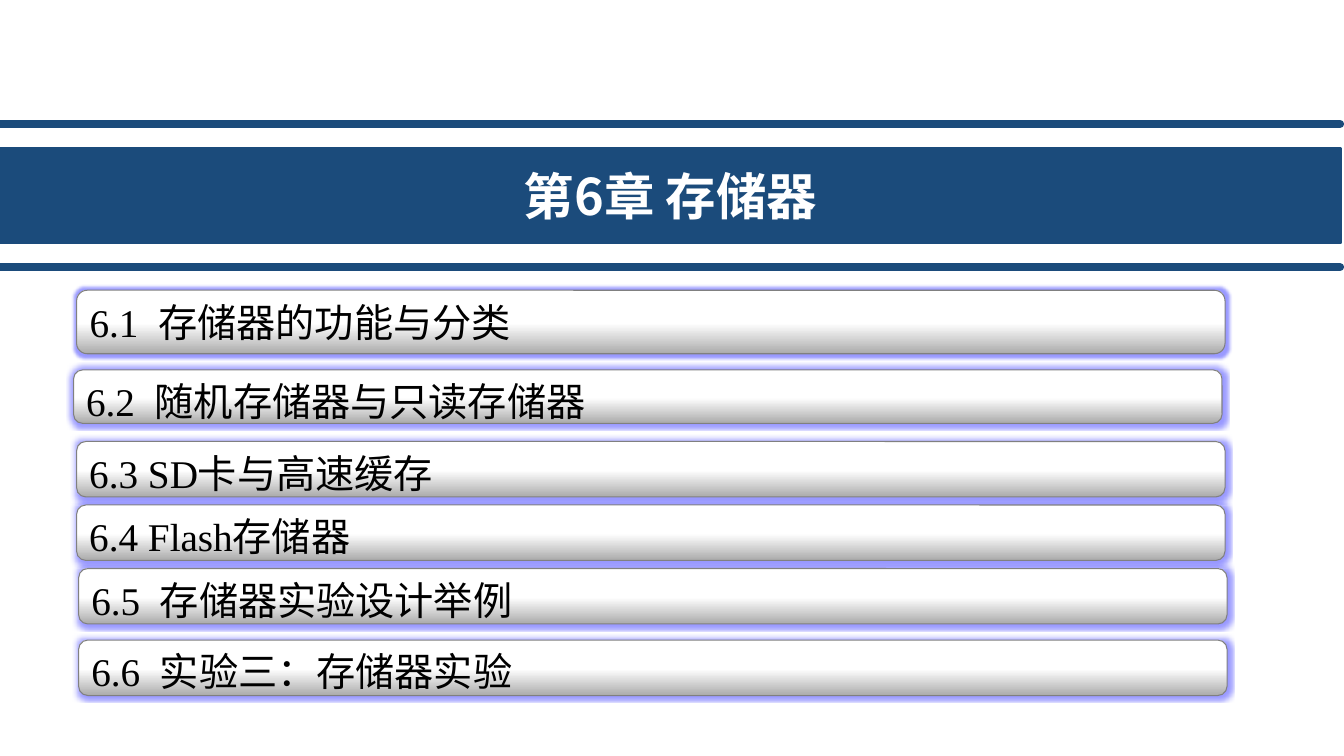
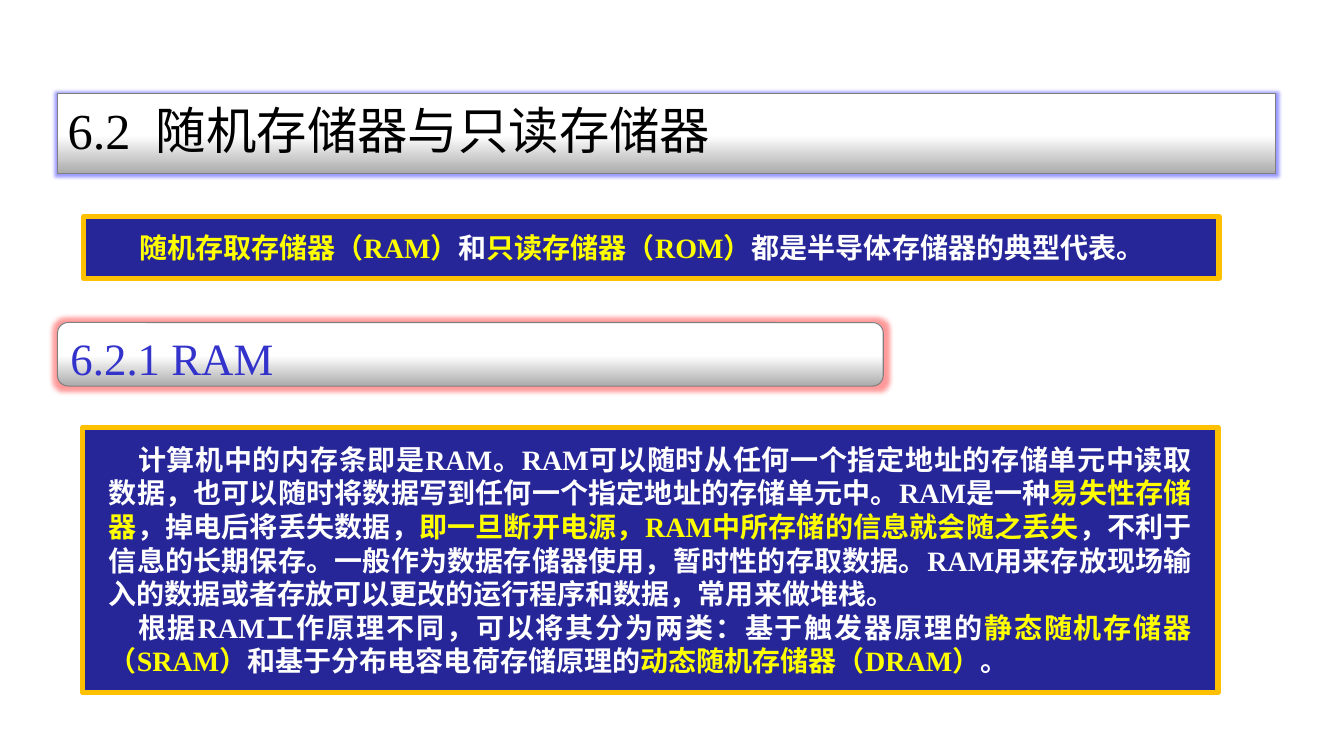
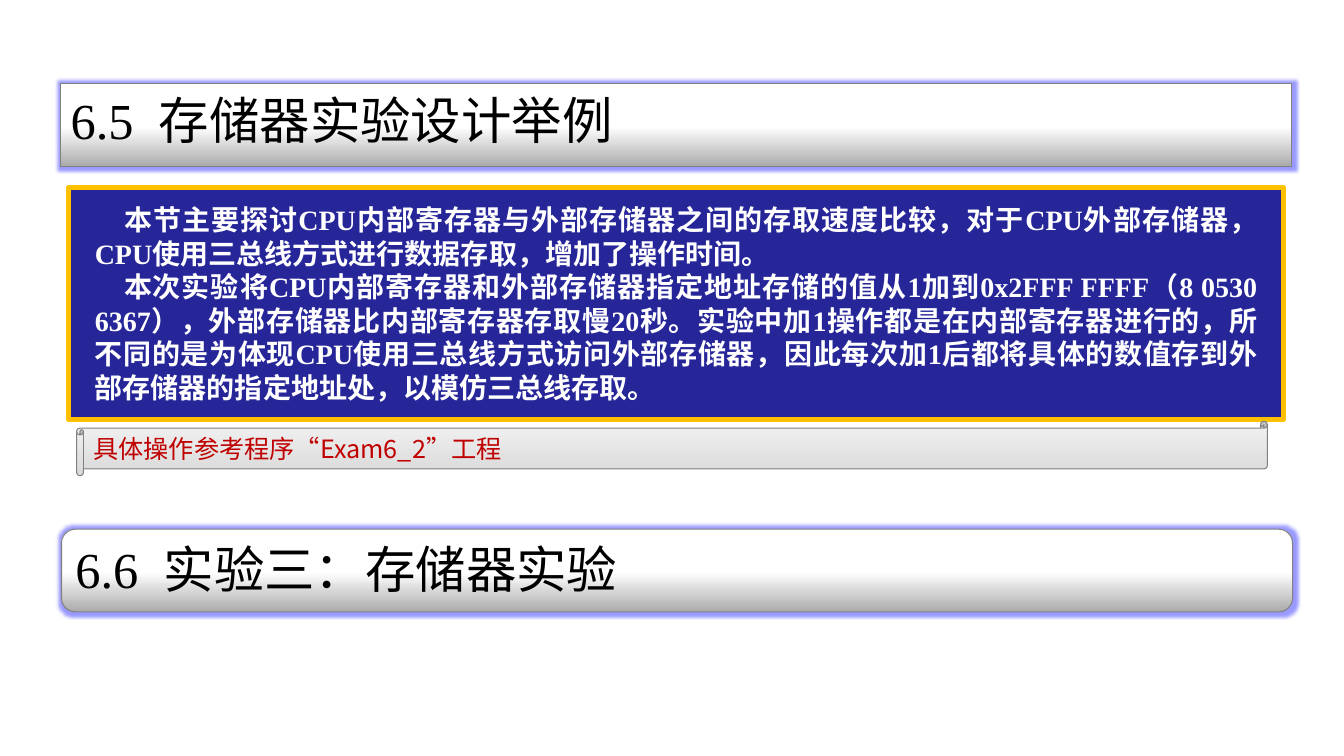
import pptx
import pptx.util
import pptx.dml.color
import pptx.enum.shapes
import pptx.enum.text
import pptx.oxml
import pptx.oxml.ns

Inches = pptx.util.Inches
Pt = pptx.util.Pt
KIND = pptx.enum.shapes.MSO_SHAPE
ALIGN = pptx.enum.text.PP_ALIGN
ANCHOR = pptx.enum.text.MSO_ANCHOR
FIT = pptx.enum.text.MSO_AUTO_SIZE
qn = pptx.oxml.ns.qn

SERIF, SANS = "Times New Roman", "Noto Sans CJK SC"
BLUE, NAVY, GOLD, GRAY = "1B4B7B", "262699", "FFC000", "808080"
WHITE, BLACK, YELLOW = "FFFFFF", "000000", "FFFF00"
METAL = [(0, "ABABAB"), (48, WHITE), (100, WHITE)]
PAPER = [(0, "F2F2F2"), (100, "D9D9D9")]


def rgb(code):
    """Turn a hex string into a colour."""
    return pptx.dml.color.RGBColor.from_string(code)


def node(xml):
    """Build a drawing element from its inner markup."""
    return pptx.oxml.parse_xml(xml.replace(" ", f" {pptx.oxml.ns.nsdecls('a')} ", 1))


def write(shape, text, size=20, color=WHITE, mark=YELLOW, font=SERIF, bold=False,
          align=ALIGN.LEFT, anchor=ANCHOR.TOP, wrap=True, fit=FIT.NONE,
          inset=(0.1, 0.05), indent=0):
    """Fill a shape with lines of text; parts between stars take the mark colour."""
    frame = shape.text_frame
    frame.word_wrap, frame.auto_size, frame.vertical_anchor = wrap, fit, anchor
    frame.margin_left = frame.margin_right = Inches(inset[0])
    frame.margin_top = frame.margin_bottom = Inches(inset[1])
    for row, line in enumerate(text.split("\n")):
        para = frame.add_paragraph() if row else frame.paragraphs[0]
        para.alignment = align
        props = para._p.get_or_add_pPr()
        if indent:
            props.set("indent", str(Inches(indent)))
        if "\t" in line:
            stop = Pt(1.75 * size)
            props.append(node(f'<a:tabLst ><a:tab pos="{stop}" algn="l"/></a:tabLst>'))
        for turn, part in enumerate(line.split("*")):
            if not part:
                continue
            run = para.add_run()
            run.text = part
            run.font.size, run.font.bold, run.font.name = Pt(size), bold, font
            run.font.color.rgb = rgb(mark if turn % 2 else color)
            latin = run._r.rPr.find(qn("a:latin"))
            latin.addnext(node(f'<a:ea typeface="{SANS}"/>'))


def place(slide, kind, box, title=False):
    """Return a shape, or the slide title in that outline, set in the box."""
    if not title:
        shape = slide.shapes.add_shape(kind, *map(Inches, box))
    else:
        shape = slide.shapes.title
        shape.left, shape.top, shape.width, shape.height = map(Inches, box)
        name = "roundRect" if kind == KIND.ROUNDED_RECTANGLE else "rect"
        frame = shape._element.spPr.find(qn("a:xfrm"))
        frame.addnext(node(f'<a:prstGeom prst="{name}"><a:avLst/></a:prstGeom>'))
    shape.shadow.inherit = False
    return shape


def edge(shape, color, width):
    """Set the outline."""
    shape.line.color.rgb = rgb(color)
    shape.line.width = Pt(width)


def solid(shape, color):
    """Fill with one colour."""
    shape.fill.solid()
    shape.fill.fore_color.rgb = rgb(color)


def blend(shape, stops, angle):
    """Fill with a linear gradient."""
    shape.fill.gradient()
    shape.fill.gradient_angle = angle
    ramp = shape._element.spPr.find(f"{qn('a:gradFill')}/{qn('a:gsLst')}")
    for stop in list(ramp):
        ramp.remove(stop)
    for spot, color in stops:
        ramp.append(node(f'<a:gs pos="{spot * 1000}"><a:srgbClr val="{color}"/></a:gs>'))


def bar(slide, text, box, size=36, color=BLACK, glow="0000FF", blur=5, title=False):
    """Draw a glowing metal bar with a heading."""
    shape = place(slide, KIND.ROUNDED_RECTANGLE, box, title)
    blend(shape, METAL, 90)
    edge(shape, GRAY, 0.75)
    shape._element.spPr.find(qn("a:effectLst")).append(node(
        f'<a:glow rad="{Pt(blur)}"><a:srgbClr val="{glow}">'
        '<a:alpha val="40000"/></a:srgbClr></a:glow>'))
    write(shape, text, size=size, color=color, wrap=False)


def panel(slide, text, box):
    """Draw a navy panel of body text."""
    shape = place(slide, KIND.RECTANGLE, box)
    solid(shape, NAVY)
    edge(shape, GOLD, 3.75)
    write(shape, text, bold=True, align=ALIGN.JUSTIFY, anchor=ANCHOR.MIDDLE,
          fit=FIT.SHAPE_TO_FIT_TEXT, inset=(0.26, 0.14), indent=0.29)


def scroll(slide, text, box):
    """Draw a paper scroll with a note."""
    shape = place(slide, KIND.HORIZONTAL_SCROLL, box)
    blend(shape, PAPER, 270)
    edge(shape, GRAY, 0.75)
    write(shape, text, size=18, color="C00000", font=SANS, fit=FIT.SHAPE_TO_FIT_TEXT)


def rule(slide, top):
    """Draw a thick rule across the slide."""
    line = slide.shapes.add_connector(
        pptx.enum.shapes.MSO_CONNECTOR.STRAIGHT,
        Inches(0), Inches(top), Inches(13.29), Inches(top))
    edge(line, BLUE, 6)
    props = line._element.spPr
    props.find(qn("a:ln")).set("cap", "rnd")
    props.append(node("<a:effectLst />"))


def cover(slide):
    """Build the chapter contents."""
    band = place(slide, KIND.RECTANGLE, (0, 1.47, 13.3, 0.94), title=True)
    solid(band, BLUE)
    edge(band, BLUE, 2)
    write(band, "第6章 存储器", size=36, font=SANS, bold=True,
          align=ALIGN.CENTER, anchor=ANCHOR.MIDDLE)
    for top in (2.65, 1.23):
        rule(slide, top)
    items = [
        ("6.1\t存储器的功能与分类", 0.76, 2.88, 0.63),
        ("6.2\t随机存储器与只读存储器", 0.73, 3.67, 0.53),
        ("6.3 SD卡与高速缓存", 0.76, 4.38, 0.55),
        ("6.4 Flash存储器", 0.76, 5.01, 0.55),
        ("6.5\t存储器实验设计举例", 0.78, 5.64, 0.55),
        ("6.6\t实验三：存储器实验", 0.78, 6.35, 0.55),
    ]
    for text, left, top, high in items:
        bar(slide, text, (left, top, 11.39, high), size=28)


def memory(slide):
    """Build the section on RAM and ROM."""
    bar(slide, "6.2\t随机存储器与只读存储器", (0.57, 0.93, 12.08, 0.79), title=True)
    panel(slide, "*随机存取存储器（RAM）*和*只读存储器（ROM）*都是半导体存储器的典型代表。",
          (0.83, 2.15, 11.26, 0.61))
    bar(slide, "6.2.1 RAM", (0.57, 3.2, 8.19, 0.63), size=32, color="3333CC",
        glow="FF0000", blur=7)
    panel(slide,
          "计算机中的内存条即是RAM。RAM可以随时从任何一个指定地址的存储单元中读取数据，"
          "也可以随时将数据写到任何一个指定地址的存储单元中。RAM是一种*易失性存储器*，"
          "掉电后将丢失数据，*即一旦断开电源，RAM中所存储的信息就会随之丢失*，"
          "不利于信息的长期保存。一般作为数据存储器使用，暂时性的存取数据。"
          "RAM用来存放现场输入的数据或者存放可以更改的运行程序和数据，常用来做堆栈。\n"
          "根据RAM工作原理不同，可以将其分为两类：基于触发器原理的*静态随机存储器（SRAM）*"
          "和基于分布电容电荷存储原理的*动态随机存储器（DRAM）*。",
          (0.82, 4.24, 11.26, 2.63))


def lab(slide):
    """Build the experiment sections."""
    bar(slide, "6.5\t存储器实验设计举例", (0.6, 0.83, 12.21, 0.82), title=True)
    panel(slide,
          "本节主要探讨CPU内部寄存器与外部存储器之间的存取速度比较，对于CPU外部存储器，"
          "CPU使用三总线方式进行数据存取，增加了操作时间。\n"
          "本次实验将CPU内部寄存器和外部存储器指定地址存储的值从1加到0x2FFF FFFF"
          "（8 0530 6367），外部存储器比内部寄存器存取慢20秒。"
          "实验中加1操作都是在内部寄存器进行的，所不同的是为体现CPU使用三总线方式访问外部存储器，"
          "因此每次加1后都将具体的数值存到外部存储器的指定地址处，以模仿三总线存取。",
          (0.68, 1.86, 12.05, 2.3))
    scroll(slide, "具体操作参考程序“Exam6_2”工程", (0.76, 4.18, 11.81, 0.54))
    bar(slide, "6.6\t实验三：存储器实验", (0.61, 5.25, 12.21, 0.82))


def main():
    """Build and save the deck."""
    deck = pptx.Presentation()
    deck.slide_width, deck.slide_height = Inches(13.33), Inches(7.5)
    for build in (cover, memory, lab):
        build(deck.slides.add_slide(deck.slide_layouts[5]))
    deck.save("out.pptx")


if __name__ == "__main__":
    main()
